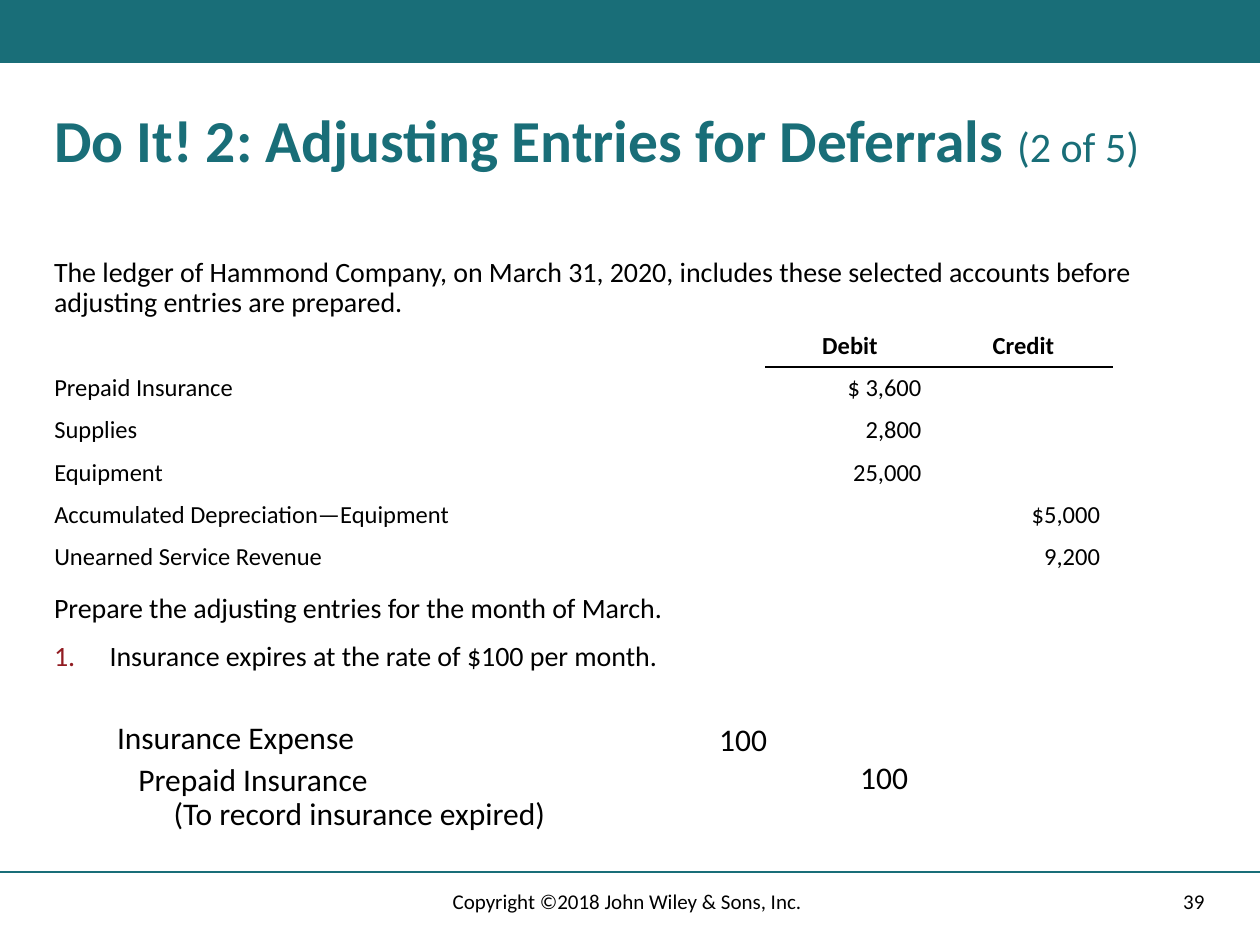
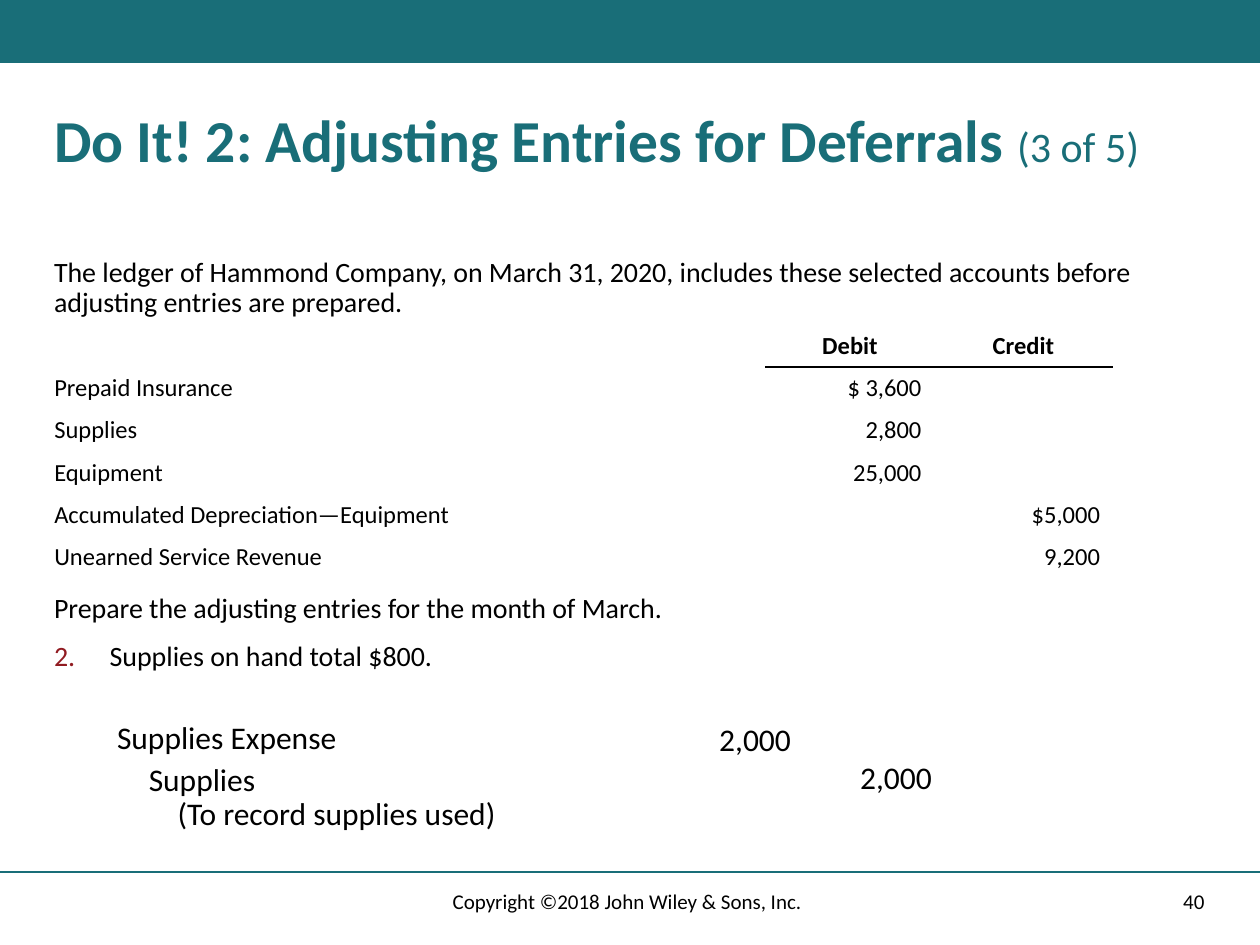
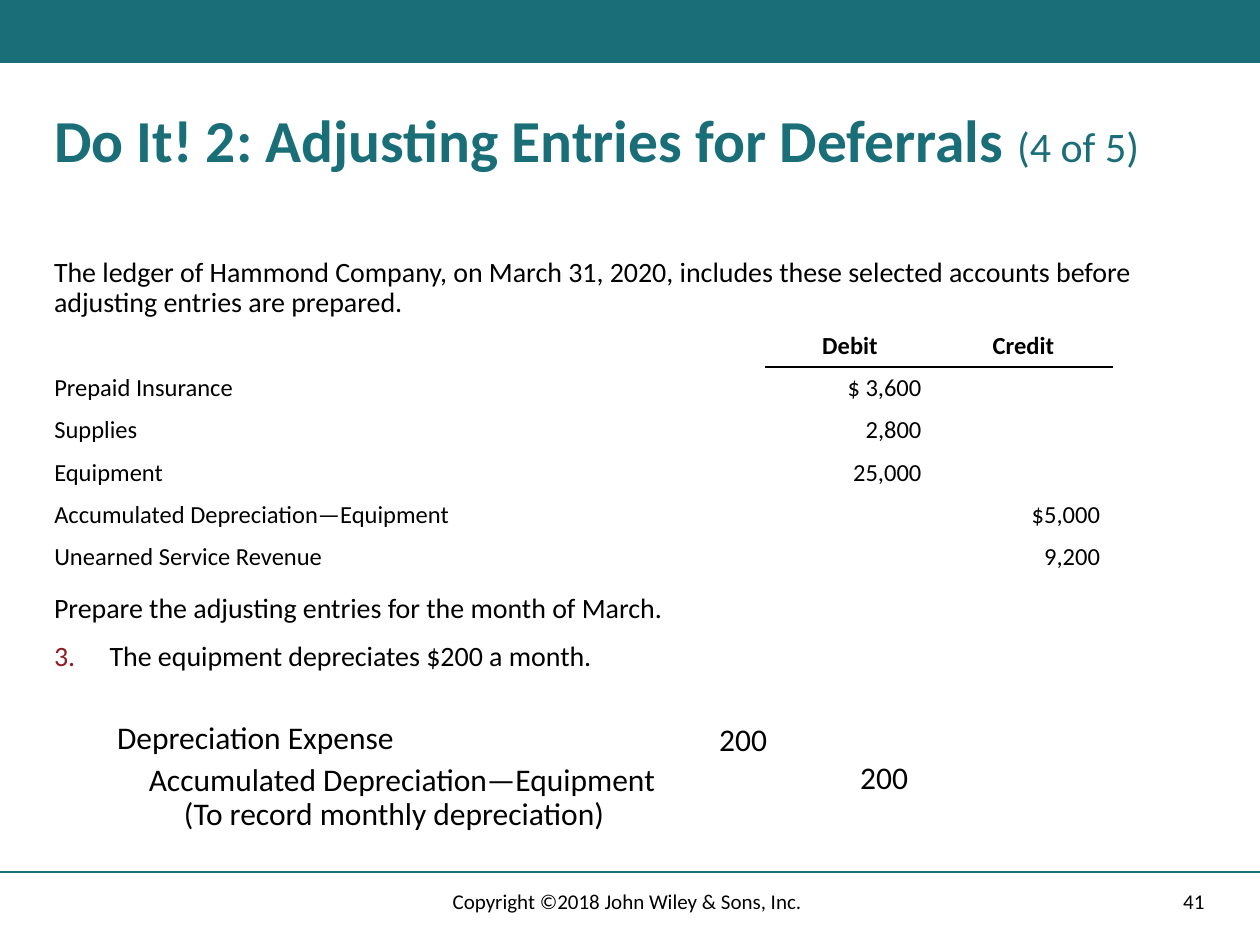
from dataclasses import dataclass

from lxml import etree
from pptx import Presentation
from pptx.dml.color import RGBColor
from pptx.enum import shapes, text
from pptx.oxml import ns
from pptx.util import Cm, Pt


@dataclass(frozen=True)
class Theme:
    font: str = "Calibri"
    teal: RGBColor = RGBColor(0x19, 0x6E, 0x78)
    black: RGBColor = RGBColor(0, 0, 0)
    number: RGBColor = RGBColor(0x91, 0x1B, 0x21)
    title: int = 34
    counter: int = 24
    entry: int = 18
    body: int = 16
    ledger: int = 14
    footer: int = 12


theme = Theme()
LEFT, CENTER, RIGHT = text.PP_ALIGN.LEFT, text.PP_ALIGN.CENTER, text.PP_ALIGN.RIGHT
MARGIN, FULL_WIDTH = 0.84, 23.7

ledger_rows = [
    ("", "Debit", "Credit"),
    ("Prepaid Insurance", "$ 3,600", ""),
    ("Supplies", "2,800", ""),
    ("Equipment", "25,000", ""),
    ("Accumulated Depreciation—Equipment", "", "$5,000"),
    ("Unearned Service Revenue", "", "9,200"),
]
ledger_widths = (14.6, 3.39, 3.6)
row_height = 0.85

adjustments = [
    ("Insurance expires at the rate of $100 per month.", "Insurance Expense",
     "Prepaid Insurance", "(To record insurance expired)", "100", 2.54, 0.71),
    ("Supplies on hand total $800.", "Supplies Expense",
     "Supplies", "(To record supplies used)", "2,000", 2.75, 0.58),
    ("The equipment depreciates $200 a month.", "Depreciation Expense",
     "Accumulated Depreciation—Equipment", "(To record monthly depreciation)", "200", 2.75, 0.71),
]


def style(paragraph, size, color=theme.black, bold=False, align=LEFT):
    paragraph.alignment = align
    for run in paragraph.runs:
        run.font.name = theme.font
        run.font.size = Pt(size)
        run.font.bold = bold
        run.font.color.rgb = color


def add_text(slide, box, wording, size, align=LEFT, spacing=0.9):
    frame = slide.shapes.add_textbox(*map(Cm, box)).text_frame
    frame.word_wrap = True
    frame.text = wording
    for paragraph in frame.paragraphs:
        paragraph.line_spacing = spacing
        style(paragraph, size, align=align)
    return frame


deck = Presentation()
deck.slide_width, deck.slide_height = Cm(25.4), Cm(19.05)

for number, (fact, debited, credited, reason, amount, credit_left, reason_indent) in enumerate(adjustments, 1):
    slide = deck.slides.add_slide(deck.slide_layouts[6])

    band = slide.shapes.add_shape(shapes.MSO_SHAPE.RECTANGLE, 0, 0, deck.slide_width, Cm(1.27))
    band.shadow.inherit = False
    band.fill.solid()
    band.fill.fore_color.rgb = theme.teal
    band.line.fill.background()

    footer_rule = slide.shapes.add_connector(
        shapes.MSO_CONNECTOR.STRAIGHT, 0, Cm(17.58), deck.slide_width, Cm(17.58))
    footer_rule.line.color.rgb = theme.teal
    footer_rule.line.width = Pt(1)
    etree.SubElement(footer_rule._element.spPr, ns.qn("a:effectLst"))

    title = add_text(slide, (MARGIN, 2.11, FULL_WIDTH, 1.9),
                     "Do It! 2: Adjusting Entries for Deferrals ", theme.title).paragraphs[0]
    title.add_run().text = f"({number + 1} of 5)"
    style(title, theme.title, theme.teal, bold=True)
    title.runs[1].font.size = Pt(theme.counter)
    title.runs[1].font.bold = False

    add_text(slide, (MARGIN, 5.08, FULL_WIDTH, 1.4),
             "The ledger of Hammond Company, on March 31, 2020, includes these selected accounts "
             "before adjusting entries are prepared.", theme.body)

    ledger = slide.shapes.add_table(
        len(ledger_rows), len(ledger_widths), Cm(MARGIN), Cm(6.55),
        Cm(sum(ledger_widths)), Cm(row_height * len(ledger_rows))).table
    ledger.first_row = ledger.horz_banding = False
    for column, width in zip(ledger.columns, ledger_widths):
        column.width = Cm(width)
    for r, entries in enumerate(ledger_rows):
        ledger.rows[r].height = Cm(row_height)
        for c, entry in enumerate(entries):
            cell = ledger.cell(r, c)
            cell.fill.background()
            cell.text = entry
            line = cell.text_frame.paragraphs[0]
            style(line, theme.ledger, bold=r == 0,
                  align=LEFT if c == 0 else CENTER if r == 0 else RIGHT)
            if not entry:
                etree.SubElement(line._p, ns.qn("a:endParaRPr"), sz=str(theme.ledger * 100))
            if c > 0 and r < 2:
                edge = etree.Element(ns.qn("a:lnB" if r == 0 else "a:lnT"), w=str(Pt(1)))
                ink = etree.SubElement(edge, ns.qn("a:solidFill"))
                etree.SubElement(ink, ns.qn("a:srgbClr"), val=str(theme.black))
                cell._tc.get_or_add_tcPr().insert(0, edge)

    task = add_text(slide, (MARGIN, 11.86, FULL_WIDTH, 1.85),
                    f"Prepare the adjusting entries for the month of March.\n{fact}", theme.body)
    numbered = task.paragraphs[1]
    numbered.space_before = Pt(10)
    properties = numbered._p.get_or_add_pPr()
    properties.set("marL", str(Cm(1.12)))
    properties.set("indent", str(-Cm(1.12)))
    bullet_color = etree.SubElement(properties, ns.qn("a:buClr"))
    etree.SubElement(bullet_color, ns.qn("a:srgbClr"), val=str(theme.number))
    etree.SubElement(properties, ns.qn("a:buAutoNum"), type="arabicPeriod", startAt=str(number))

    add_text(slide, (2.11, 14.43, 6.3, 0.94), debited, theme.entry)
    add_text(slide, (14.25, 14.48, 2.2, 0.85), amount, theme.entry)
    credit = add_text(slide, (credit_left, 15.29, 11.6, 1.7), f"{credited}\n{reason}", theme.entry)
    credit.paragraphs[1]._p.get_or_add_pPr().set("marL", str(Cm(reason_indent)))
    add_text(slide, (17.09, 15.24, 2.2, 0.85), amount, theme.entry)

    for box, wording, align in [
        ((17.93, 17.65, 6.6, 1.02), str(number + 38), RIGHT),
        ((8.35, 17.65, 8.59, 1.02), "Copyright ©2018 John Wiley & Sons, Inc.", CENTER),
    ]:
        footer = add_text(slide, box, wording, theme.footer, align, spacing=1.0)
        footer.vertical_anchor = text.MSO_ANCHOR.MIDDLE

deck.save("out.pptx")
